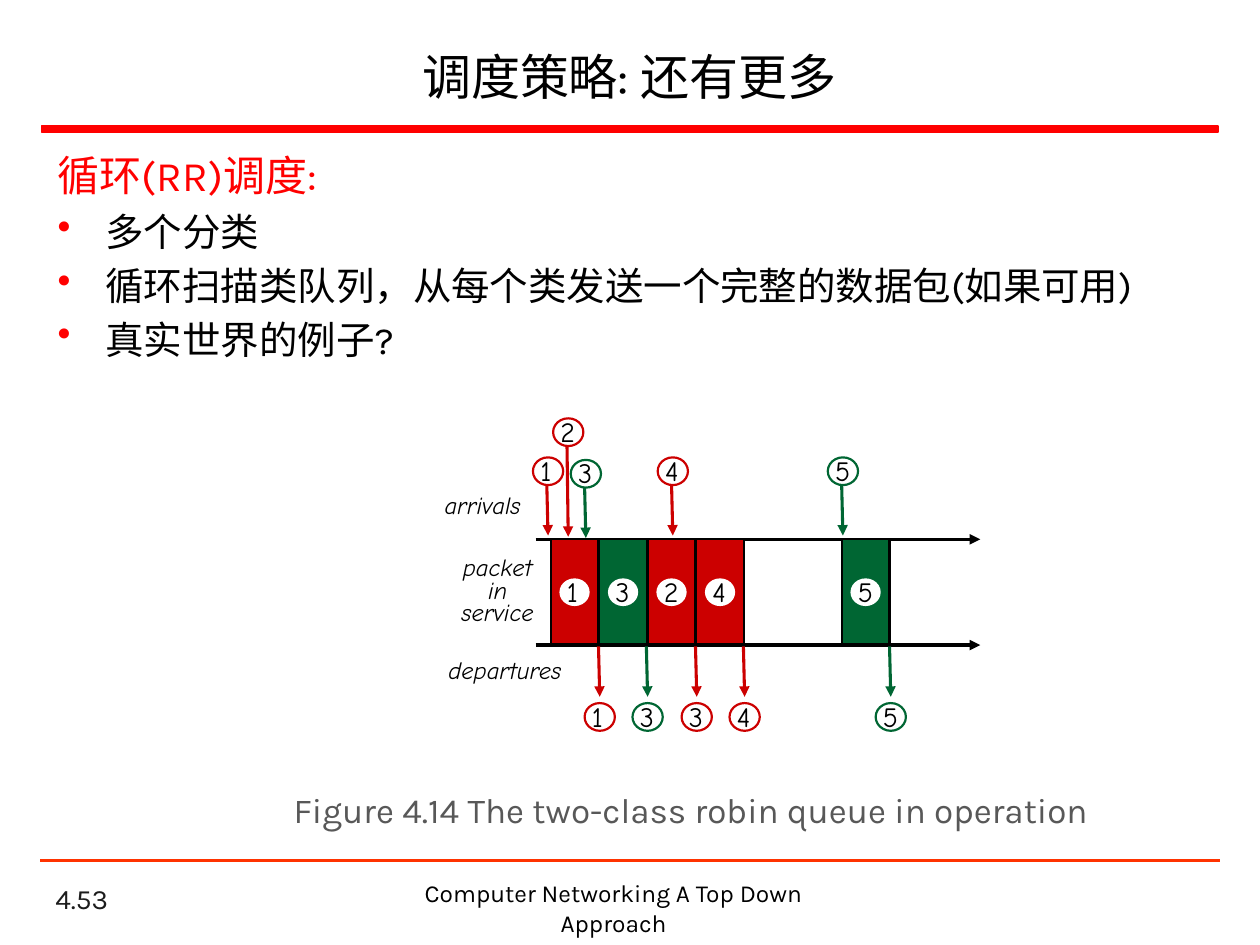
from dataclasses import dataclass

from lxml import etree
from pptx import Presentation
from pptx.dml.color import RGBColor
from pptx.enum.shapes import MSO_CONNECTOR, MSO_SHAPE
from pptx.enum.text import MSO_ANCHOR, MSO_AUTO_SIZE, PP_ALIGN
from pptx.oxml.ns import qn
from pptx.util import Inches, Pt

RECT, OVAL = MSO_SHAPE.RECTANGLE, MSO_SHAPE.OVAL
LINE = MSO_CONNECTOR.STRAIGHT
LEFT, MID = PP_ALIGN.LEFT, PP_ALIGN.CENTER
TOP, CENTER, BOTTOM = MSO_ANCHOR.TOP, MSO_ANCHOR.MIDDLE, MSO_ANCHOR.BOTTOM
SANS, HAND = "Karla", "Comic Neue"
BLACK, WHITE, RED, GREEN = "000000", "FFFFFF", "CC0000", "006633"
BRIGHT = "FF0000"

# Timeline grid: packets fill equal time slots
LEFT_X, SLOT = 4.37, 0.385
TOP_Y, LOW_Y = 4.28, 5.12
DISC_W, DISC_H = 0.24, 0.22


@dataclass
class Packet:
    num: str
    color: str
    slot: int


@dataclass
class Event:
    num: str
    color: str
    x: float
    y: float
    drop: float = 0.4


@dataclass
class Label:
    text: str
    box: tuple
    size: int
    font: str = SANS
    color: str = BLACK
    align: PP_ALIGN = MID
    anchor: MSO_ANCHOR = TOP
    wrap: bool = True
    italic: bool = False
    pitch: float = 0


PACKETS = [Packet("1", RED, 0), Packet("3", GREEN, 1), Packet("2", RED, 2),
           Packet("4", RED, 3), Packet("5", GREEN, 6)]
ARRIVALS = [Event("5", GREEN, 6.68, 3.85), Event("2", RED, 4.5, 3.54, 0.72),
            Event("1", RED, 4.34, 3.85), Event("3", GREEN, 4.64, 3.87),
            Event("4", RED, 5.33, 3.85)]
# Each packet departs at the end of its slot
LEAVES = [Event("1", RED, 4.75, 5.13), Event("3", GREEN, 5.13, 5.13),
          Event("3", RED, 5.52, 5.13), Event("4", RED, 5.9, 5.13),
          Event("5", GREEN, 7.06, 5.13)]
LABELS = [
    Label("4.53", (0.34, 6.98, 2.08, 0.33), 16, color="1C1C1C",
          align=LEFT, anchor=BOTTOM),
    Label("Computer Networking A Top Down Approach",
          (2.83, 6.92, 4.08, 0.34), 14),
    Label("arrivals", (3.43, 3.84, 0.88, 0.34), 14, HAND,
          align=LEFT, wrap=False, italic=True),
    Label("departures", (3.46, 5.15, 1.19, 0.34), 14, HAND,
          align=LEFT, wrap=False, italic=True),
    Label("packet in service", (3.48, 4.39, 0.94, 0.65), 14, HAND,
          italic=True, pitch=12.8),
    Label("Figure 4.14 The two-class robin queue in operation",
          (1.88, 6.21, 7.21, 0.44), 20, color="585858"),
]
POINTS = ["多个分类", "循环扫描类队列，从每个类发送一个完整的数据包(如果可用)",
          "真实世界的例子?"]


def rgb(code: str) -> RGBColor:
    return RGBColor.from_string(code)


def inch(*vals: float) -> list:
    return [Inches(v) for v in vals]


def add_run(para, text: str, size: float, font: str, color: str,
            italic: bool = False) -> None:
    run = para.add_run()
    run.text = text
    run.font.size, run.font.name = Pt(size), font
    run.font.color.rgb = rgb(color)
    if italic:
        run.font.italic = True


def add_label(slide, item: Label) -> None:
    frame = slide.shapes.add_textbox(*inch(*item.box)).text_frame
    frame.word_wrap = item.wrap
    frame.vertical_anchor = item.anchor
    para = frame.paragraphs[0]
    para.alignment = item.align
    if item.pitch:
        para.line_spacing = Pt(item.pitch)
    add_run(para, item.text, item.size, item.font, item.color, item.italic)


def add_block(slide, kind: MSO_SHAPE, box: tuple, fill: str,
              edge: str = "", width: float = 1.25) -> None:
    shape = slide.shapes.add_shape(kind, *inch(*box))
    shape.shadow.inherit = False
    shape.fill.solid()
    shape.fill.fore_color.rgb = rgb(fill)
    if edge:
        shape.line.color.rgb = rgb(edge)
        shape.line.width = Pt(width)
    else:
        shape.line.fill.background()


def add_line(slide, ends: tuple, color: str, width: float,
             arrow: bool = True) -> None:
    line = slide.shapes.add_connector(LINE, *inch(*ends))
    line.line.color.rgb = rgb(color)
    line.line.width = Pt(width)
    if arrow:
        tail = etree.SubElement(line.line._get_or_add_ln(), qn("a:tailEnd"))
        tail.set("type", "triangle")
    etree.SubElement(line._element.spPr, qn("a:effectLst"))


def add_disc(slide, num: str, x: float, y: float, edge: str = "") -> None:
    add_block(slide, OVAL, (x, y, DISC_W, DISC_H), WHITE, edge)
    add_label(slide, Label(num, (x - 0.04, y - 0.08, 0.33, 0.37), 16, HAND,
                           align=LEFT, wrap=False))


def add_packet(slide, item: Packet) -> None:
    x = LEFT_X + item.slot * SLOT
    add_block(slide, RECT, (x, TOP_Y, 0.38, 0.83), item.color, BLACK)
    add_disc(slide, item.num, x + 0.07, TOP_Y + 0.31)


def add_event(slide, item: Event, rise: float) -> None:
    ends = (item.x, item.y, item.x + 0.01, item.y + item.drop)
    add_line(slide, ends, item.color, 1.75)
    add_disc(slide, item.num, item.x - 0.11, item.y + rise, item.color)


def add_title(slide, text: str) -> None:
    title = slide.shapes.title
    title.left, title.top, title.width, title.height = inch(
        0.37, 0.25, 9.25, 0.7)
    frame = title.text_frame
    frame.auto_size = MSO_AUTO_SIZE.NONE
    frame.vertical_anchor = CENTER
    frame.paragraphs[0].alignment = MID
    add_run(frame.paragraphs[0], text, 28, SANS, BLACK)


def add_body(slide, head: str, points: list) -> None:
    frame = slide.shapes.add_textbox(*inch(0.36, 1.14, 9.28, 1.89)).text_frame
    frame.word_wrap = True
    add_run(frame.paragraphs[0], head, 24, SANS, BRIGHT)
    for text in points:
        para = frame.add_paragraph()
        para.space_before = Pt(4.4)
        props = para._p.get_or_add_pPr()
        props.set("marL", str(Inches(0.38)))
        props.set("indent", str(-Inches(0.38)))
        tint = etree.SubElement(props, qn("a:buClr"))
        etree.SubElement(tint, qn("a:srgbClr")).set("val", BRIGHT)
        etree.SubElement(props, qn("a:buChar")).set("char", "•")
        add_run(para, text, 22, SANS, BLACK)


def main() -> None:
    deck = Presentation()
    deck.slide_width, deck.slide_height = inch(10, 7.5)
    slide = deck.slides.add_slide(deck.slide_layouts[5])

    # Page rules, title and body
    add_block(slide, RECT, (0.33, 1, 9.34, 0.05), BRIGHT, BRIGHT, 1)
    add_line(slide, (0.32, 6.83, 9.68, 6.83), "FF3300", 1.5, False)
    add_title(slide, "调度策略: 还有更多")
    add_body(slide, "循环(RR)调度:", POINTS)

    # Time axes, packets in service, arrivals and departures
    for y in (TOP_Y, LOW_Y):
        add_line(slide, (4.25, y, 7.78, y), BLACK, 2)
    for item in PACKETS:
        add_packet(slide, item)
    for item in ARRIVALS:
        add_event(slide, item, -DISC_H)
    for item in LEAVES:
        add_event(slide, item, 0.45)

    # Footer, diagram labels and caption
    for item in LABELS:
        add_label(slide, item)
    deck.save("out.pptx")


if __name__ == "__main__":
    main()
